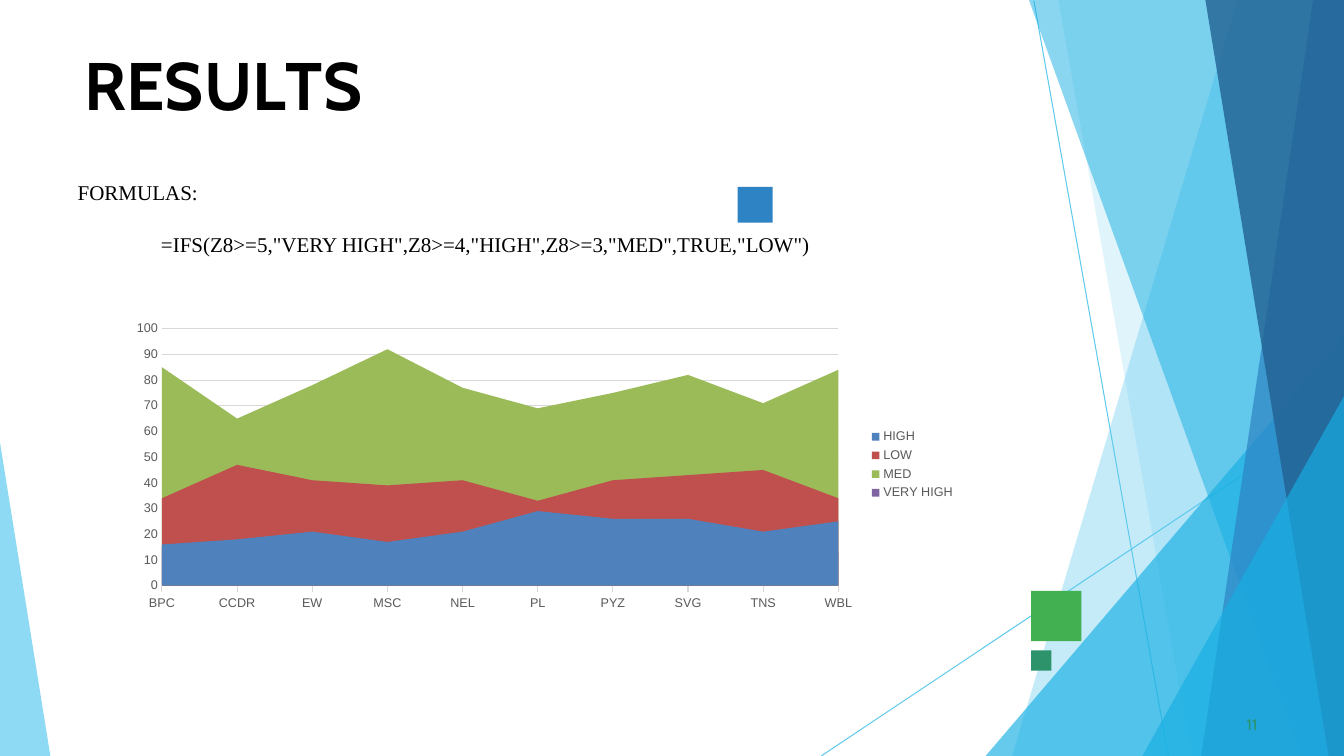
from lxml import etree
from pptx import Presentation
from pptx import util as u
from pptx.chart import data
from pptx.dml.color import RGBColor
from pptx.enum import chart as ch, shapes, text
from pptx.oxml import ns

SKY = RGBColor(0x5F, 0xCA, 0xEE)
CYAN = RGBColor(0x17, 0xAF, 0xE3)
BLUE = RGBColor(0x2D, 0x83, 0xC3)
NAVY = RGBColor(0x22, 0x61, 0x92)
GREEN = RGBColor(0x42, 0xAF, 0x51)
TEAL = RGBColor(0x2D, 0x93, 0x6B)
BLACK = RGBColor(0, 0, 0)
GREY = RGBColor(0x59, 0x59, 0x59)
GRID = RGBColor(0xD9, 0xD9, 0xD9)
AREA_COLOURS = [RGBColor(0x4F, 0x81, 0xBD), RGBColor(0xC0, 0x50, 0x4D),
                RGBColor(0x9B, 0xBB, 0x59), RGBColor(0x80, 0x64, 0xA2)]
WIDTH, HEIGHT = 960, 540
HEAD_FONT, BODY_FONT, CHART_FONT = "Cabin", "Times New Roman", "Arial"


def pts(*values):
    return [u.Pt(value) for value in values]


class SlideBuilder:
    def __init__(self, page):
        self.page = page

    def paint(self, shape, colour, opacity=100):
        shape.shadow.inherit = False
        shape.fill.solid()
        shape.fill.fore_color.rgb = colour
        shape.line.fill.background()
        if opacity < 100:
            tone = shape.fill._xPr.find(".//" + ns.qn("a:srgbClr"))
            etree.SubElement(tone, ns.qn("a:alpha"), val=str(opacity * 1000))

    def polygon(self, points, colour, opacity):
        outline = self.page.shapes.build_freeform(*points[0], scale=u.Pt(1))
        outline.add_line_segments(points[1:], close=True)
        self.paint(outline.convert_to_shape(), colour, opacity)

    def line(self, ends):
        line = self.page.shapes.add_connector(shapes.MSO_CONNECTOR.STRAIGHT, *pts(*ends))
        line.line.color.rgb = SKY
        line.line.width = u.Pt(0.75)
        etree.SubElement(line._element.spPr, ns.qn("a:effectLst"))

    def block(self, frame, colour):
        box = self.page.shapes.add_shape(shapes.MSO_SHAPE.RECTANGLE, *pts(*frame))
        self.paint(box, colour)

    def font(self, para, name, size, colour, bold=False):
        font = para.font
        font.name, font.size, font.bold = name, u.Pt(size), bold
        font.color.rgb = colour

    def title(self, frame, spans):
        """Each span is its words and its letter spacing in points."""
        box = self.page.shapes.title
        box.left, box.top, box.width, box.height = pts(*frame)
        area = box.text_frame
        area.margin_left = area.margin_right = area.margin_top = area.margin_bottom = 0
        area.vertical_anchor = text.MSO_ANCHOR.TOP
        para = area.paragraphs[0]
        para.alignment = text.PP_ALIGN.LEFT
        para.space_before = u.Pt(1)
        self.font(para, HEAD_FONT, 48, BLACK, True)
        for words, spacing in spans:
            span = para.add_run()
            span.text = words
            span._r.get_or_add_rPr().set("spc", str(int(spacing * 100)))

    def text(self, frame, lines, name, size, colour, gap=0, indent=0):
        """Lines after the first are set off by gap and indent."""
        box = self.page.shapes.add_textbox(*pts(*frame))
        area = box.text_frame
        area.word_wrap = True
        area.margin_left = area.margin_right = area.margin_top = area.margin_bottom = 0
        for index, words in enumerate(lines):
            para = area.add_paragraph() if index else area.paragraphs[0]
            para.text = words
            self.font(para, name, size, colour)
            if index:
                para.space_before = u.Pt(gap)
                para._p.get_or_add_pPr().set("marL", str(u.Pt(indent)))

    def area_chart(self, frame, plot, categories, levels):
        """plot is the inner plot area as shares of the chart."""
        table = data.CategoryChartData()
        table.categories = categories
        for name, values in levels.items():
            table.add_series(name, values)
        chart = self.page.shapes.add_chart(ch.XL_CHART_TYPE.AREA, *pts(*frame), table).chart
        chart.has_title = False
        chart.font.name, chart.font.size = CHART_FONT, u.Pt(9)
        chart.font.color.rgb = GREY
        for series, colour in zip(chart.plots[0].series, AREA_COLOURS):
            series.format.fill.solid()
            series.format.fill.fore_color.rgb = colour
        # Legend
        chart.has_legend = True
        chart.legend.position = ch.XL_LEGEND_POSITION.RIGHT
        chart.legend.include_in_layout = False
        # Axes
        across, up = chart.category_axis, chart.value_axis
        across.major_tick_mark = ch.XL_TICK_MARK.OUTSIDE
        up.major_tick_mark = ch.XL_TICK_MARK.NONE
        up.minimum_scale, up.maximum_scale, up.major_unit = 0, 100, 10
        up.has_major_gridlines = True
        for rule in (across.format.line, up.major_gridlines.format.line):
            rule.color.rgb = GRID
            rule.width = u.Pt(0.75)
        up.format.line.fill.background()
        up._element.find(ns.qn("c:crossBetween")).set("val", "midCat")
        # Plot area
        plot_area = chart._chartSpace.chart.plotArea
        for old in plot_area.findall(ns.qn("c:layout")):
            plot_area.remove(old)
        layout = etree.Element(ns.qn("c:layout"))
        manual = etree.SubElement(layout, ns.qn("c:manualLayout"))
        settings = [("layoutTarget", "inner"), ("xMode", "edge"), ("yMode", "edge")]
        for tag, value in settings + list(zip("xywh", plot)):
            etree.SubElement(manual, ns.qn("c:" + tag), val=str(value))
        plot_area.insert(0, layout)


def main():
    deck = Presentation()
    deck.slide_width, deck.slide_height = pts(WIDTH, HEIGHT)
    page = deck.slides.add_slide(deck.slide_layouts[5])
    builder = SlideBuilder(page)

    # Background lines and translucent facets
    for ends in [(738.5, 0.5, 834.5, HEIGHT), (WIDTH, 291, 586.5, HEIGHT)]:
        builder.line(ends)
    corner = (WIDTH, HEIGHT)
    bands = [(884, 723, SKY, 36), (756, 851, SKY, 20), (None, 703.5, CYAN, 66),
             (735, 929.5, CYAN, 50), (938, 858, BLUE, 70), (861, 949, NAVY, 80),
             (None, 816.5, CYAN, 66)]
    peaks = iter([240, 283])
    for top, bottom, colour, opacity in bands:
        if top is None:
            start = [(WIDTH, next(peaks))]
        else:
            start = [(WIDTH, 0), (top, 0)]
        builder.polygon(start + [(bottom, HEIGHT), corner], colour, opacity)
    builder.polygon([(0, 316), (0, HEIGHT), (35.5, HEIGHT)], SKY, 70)

    # Accent squares
    builder.block((736.5, 422, 36, 36), GREEN)
    builder.block((527, 133.5, 25, 25.5), BLUE)
    builder.block((736.5, 464.5, 14.5, 14.5), TEAL)

    # Title and formulas
    builder.title((60.5, 31, 840, 58),
                  [("R", 0), ("E", -0.4), ("S", 0.1), ("U", -0.3), ("L", -4), ("TS", 0)])
    builder.text((55.5, 128.5, 850, 56),
                 ["FORMULAS:",
                  '=IFS(Z8>=5,"VERY HIGH",Z8>=4,"HIGH",Z8>=3,"MED",TRUE,"LOW")'],
                 BODY_FONT, 15, BLACK, gap=19, indent=59.5)

    # Results chart
    builder.area_chart(
        (85.5, 224, 604, 216), (0.05, 0.05, 0.8, 0.85),
        ["BPC", "CCDR", "EW", "MSC", "NEL", "PL", "PYZ", "SVG", "TNS", "WBL"],
        {"HIGH": [16, 18, 21, 17, 21, 29, 26, 26, 21, 25],
         "LOW": [34, 47, 41, 39, 41, 33, 41, 43, 45, 34],
         "MED": [85, 65, 78, 92, 77, 69, 75, 82, 71, 84],
         "VERY HIGH": [15, 15, 14, 9, 15, 12, 15, 16, 13, 13]})

    # Page number
    builder.text((890.5, 510.5, 18, 13), ["11"], HEAD_FONT, 11, TEAL)

    deck.save("out.pptx")


if __name__ == "__main__":
    main()
